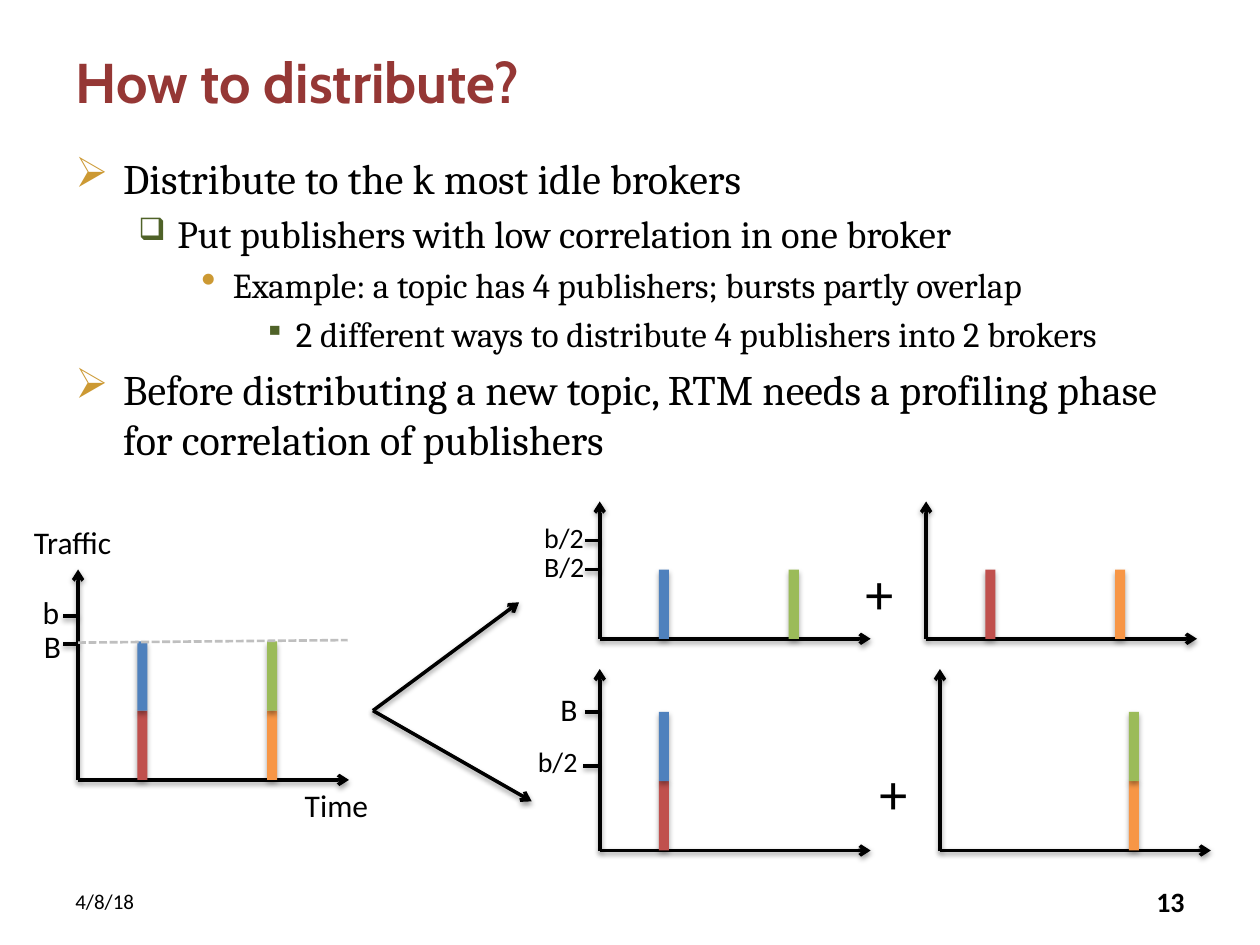
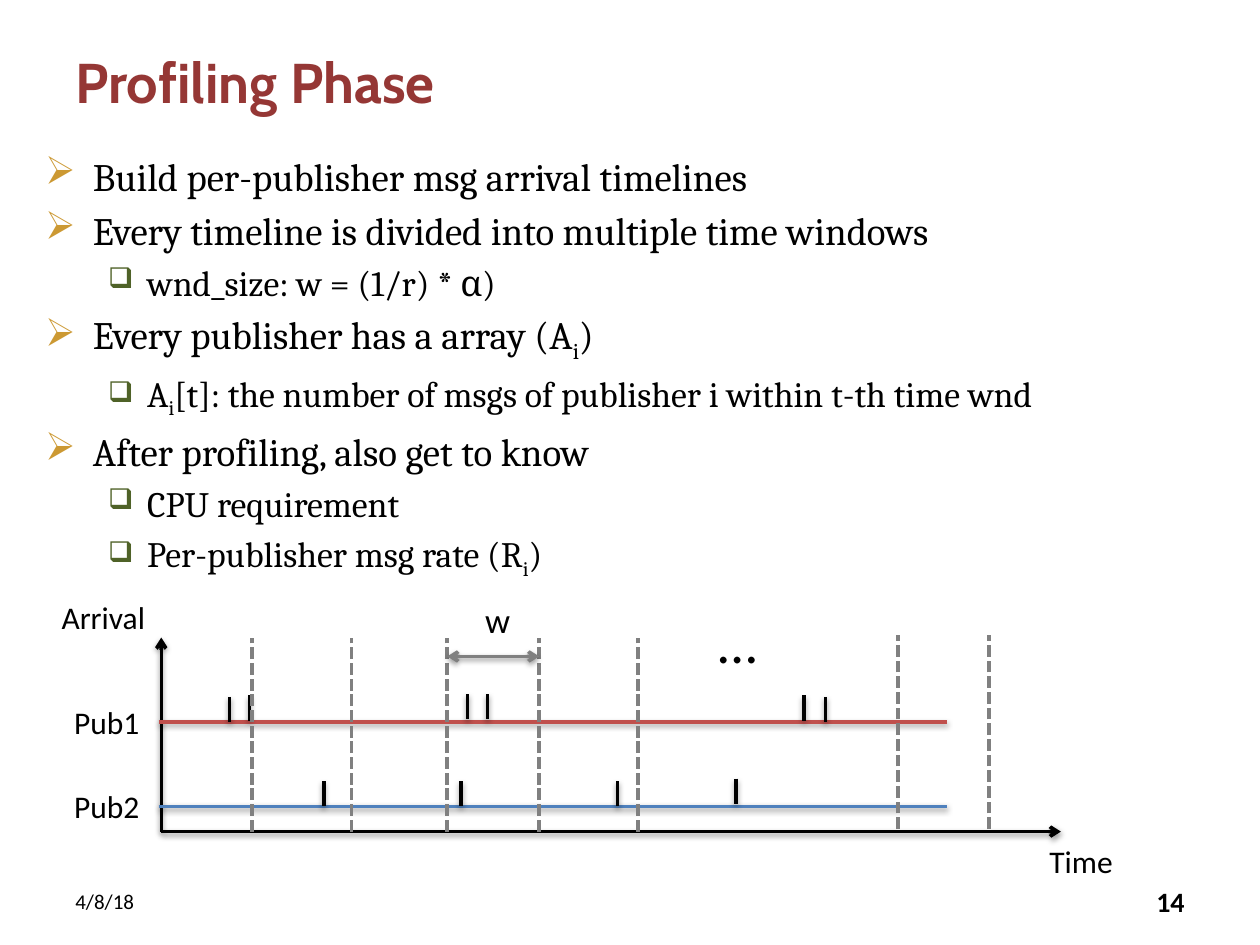
from dataclasses import dataclass

from lxml.etree import SubElement as Sub
from pptx import Presentation
from pptx.dml.color import RGBColor
from pptx.enum.dml import MSO_LINE_DASH_STYLE as Dash
from pptx.enum.shapes import MSO_CONNECTOR as Conn, MSO_SHAPE as Form
from pptx.enum.text import MSO_ANCHOR as Anchor, PP_ALIGN as Align
from pptx.oxml.ns import qn
from pptx.slide import Slide
from pptx.util import Inches, Pt

BLACK, MAROON, GOLD, MOSS = "000000", "953735", "CC9933", "4F6228"
BLUE, RED, GREEN, ORANGE = "4F81BD", "C0504D", "9BBB59", "F79646"
GREY, PALE = "808080", "BFBFBF"
HEAD, BODY, NOTE = "Cabin", "Cambria", "Calibri"
BAR_W, BAR_H, SLOTS = 0.08, 0.55, (0.47, 1.5)
AXIS_W, TICK = 2.15, 0.12


@dataclass(frozen=True)
class Mark:
    """Bullet and indents of one outline level."""
    char: str
    color: str
    scale: int
    left: float
    hang: float


@dataclass(frozen=True)
class Item:
    """Outline line whose odd parts between bars are subscripts."""
    text: str
    level: int = 0


@dataclass(frozen=True)
class Label:
    """Short text with its top left corner."""
    text: str
    x: float
    y: float
    w: float = 0.89
    h: float = 0.4
    size: float = 18
    font: str = NOTE
    color: str = BLACK
    bold: bool = False
    align: Align = Align.LEFT
    anchor: Anchor = Anchor.TOP


@dataclass(frozen=True)
class Line:
    """Straight line with optional dash and arrowheads."""
    x1: float
    y1: float
    x2: float
    y2: float
    color: str = BLACK
    width: float = 2
    dash: bool = False
    ends: tuple[str, ...] = ()


@dataclass(frozen=True)
class Plot:
    """Pair of axes with a stack of bars in each time slot."""
    x: float
    base: float
    top: float
    stacks: tuple[tuple[str, ...], tuple[str, ...]]


MARKS = (
    Mark("➢", GOLD, 100, 0.38, 0.38),
    Mark("❑", MOSS, 80, 0.81, 0.31),
    Mark("•", GOLD, 120, 1.25, 0.25),
    Mark("▪", MOSS, 80, 1.75, 0.25),
)
TIP = ("tailEnd",)


def rgb(code: str) -> RGBColor:
    """Turn a hex string into a colour."""
    return RGBColor.from_string(code)


def shade(node, alpha: int, dist: float) -> None:
    """Put a soft downward shadow into an effect list."""
    cast = Sub(node, qn("a:outerShdw"), blurRad=str(Pt(3.1)), dist=str(Pt(dist)),
               dir="5400000", rotWithShape="0")
    tint = Sub(cast, qn("a:srgbClr"), val=BLACK)
    Sub(tint, qn("a:alpha"), val=str(alpha * 1000))


def frame(slide: Slide, x: float, y: float, w: float, h: float):
    """Add a wrapping text box and return its text frame."""
    box = slide.shapes.add_textbox(Inches(x), Inches(y), Inches(w), Inches(h))
    box.text_frame.word_wrap = True
    return box.text_frame


def write(slide: Slide, label: Label) -> None:
    """Draw a label."""
    text = frame(slide, label.x, label.y, label.w, label.h)
    text.vertical_anchor = label.anchor
    para = text.paragraphs[0]
    para.text, para.alignment = label.text, label.align
    font = para.font
    font.name, font.size, font.bold = label.font, Pt(label.size), label.bold
    font.color.rgb = rgb(label.color)


def bullet(para, level: int) -> None:
    """Give a paragraph the spacing, indent and bullet of its level."""
    mark = MARKS[level]
    para.level = level
    props = para._p.get_or_add_pPr()
    props.set("marL", str(Inches(mark.left)))
    props.set("indent", str(-Inches(mark.hang)))
    Sub(Sub(props, qn("a:spcBef")), qn("a:spcPct"), val="20000")
    Sub(Sub(props, qn("a:buClr")), qn("a:srgbClr"), val=mark.color)
    Sub(props, qn("a:buSzPct"), val=str(mark.scale * 1000))
    Sub(props, qn("a:buChar"), char=mark.char)


def outline(slide: Slide, x: float, h: float, sizes: tuple[float, ...],
            items: list[Item]) -> None:
    """Draw the bulleted body text."""
    text = frame(slide, x, 1.16, 9.5 - x, h)
    for n, item in enumerate(items):
        para = text.add_paragraph() if n else text.paragraphs[0]
        bullet(para, item.level)
        para.font.name, para.font.size = BODY, Pt(sizes[item.level])
        para.font.color.rgb = rgb(BLACK)
        for k, part in enumerate(item.text.split("|")):
            run = para.add_run()
            run.text = part
            if k % 2:
                run._r.get_or_add_rPr().set("baseline", "-25000")


def draw(slide: Slide, line: Line) -> None:
    """Draw a line; solid ones cast a shadow."""
    link = slide.shapes.add_connector(
        Conn.STRAIGHT, Inches(line.x1), Inches(line.y1), Inches(line.x2), Inches(line.y2))
    link.line.color.rgb = rgb(line.color)
    link.line.width = Pt(line.width)
    if line.dash:
        link.line.dash_style = Dash.SQUARE_DOT
    props = link.element.spPr
    for end in line.ends:
        Sub(props.find(qn("a:ln")), qn(f"a:{end}"), type="arrow")
    effect = Sub(props, qn("a:effectLst"))
    if not line.dash:
        shade(effect, 38, 1.6)


def bar(slide: Slide, x: float, y: float, color: str) -> None:
    """Draw one traffic bar."""
    rect = slide.shapes.add_shape(
        Form.RECTANGLE, Inches(x), Inches(y), Inches(BAR_W), Inches(BAR_H))
    rect.fill.solid()
    rect.fill.fore_color.rgb = rgb(color)
    rect.line.fill.background()
    rect.shadow.inherit = False
    shade(rect.element.spPr.find(qn("a:effectLst")), 35, 1.8)


def axes(slide: Slide, x: float, base: float, top: float, width: float) -> None:
    """Draw a time axis and an upright axis from one corner."""
    draw(slide, Line(x, base, x + width, base, ends=TIP))
    draw(slide, Line(x, base, x, top, ends=TIP))


def chart(slide: Slide, plot: Plot) -> None:
    """Draw the axes and stacks of a traffic sketch."""
    axes(slide, plot.x, plot.base, plot.top, AXIS_W)
    for slot, stack in zip(SLOTS, plot.stacks):
        for n, color in enumerate(stack, 1):
            bar(slide, plot.x + slot, plot.base - n * BAR_H, color)


def page(deck, title: str, number: int) -> Slide:
    """Add a slide with title, date and number."""
    slide = deck.slides.add_slide(deck.slide_layouts[6])
    mid = Anchor.MIDDLE
    write(slide, Label(title, 0.5, 0.3, 9, 0.69, 32, HEAD, MAROON, True, anchor=mid))
    write(slide, Label("4/8/18", 0.5, 6.95, 2.33, size=12, anchor=mid))
    write(slide, Label(str(number), 7.17, 6.95, 2.33, size=16, bold=True,
                       align=Align.RIGHT, anchor=mid))
    return slide


def spread(deck) -> None:
    """Build the slide on ways to distribute publishers."""
    slide = page(deck, "How to distribute?", 13)
    outline(slide, 0.5, 2.57, (24, 22, 20, 20), [
        Item("Distribute to the k most idle brokers"),
        Item("Put publishers with low correlation in one broker", 1),
        Item("Example: a topic has 4 publishers; bursts partly overlap", 2),
        Item("2 different ways to distribute 4 publishers into 2 brokers", 3),
        Item("Before distributing a new topic, RTM needs a profiling phase "
             "for correlation of publishers"),
    ])
    for plot in (
        Plot(0.62, 6.19, 4.52, ((RED, BLUE), (ORANGE, GREEN))),
        Plot(4.76, 5.07, 3.98, ((BLUE,), (GREEN,))),
        Plot(7.35, 5.07, 3.98, ((RED,), (ORANGE,))),
        Plot(4.76, 6.75, 5.31, ((RED, BLUE), ())),
        Plot(7.46, 6.75, 5.31, ((), (ORANGE, GREEN))),
    ):
        chart(slide, plot)
    for x, y in ((0.62, 4.89), (0.62, 5.11), (4.76, 4.29), (4.76, 4.52),
                 (4.76, 5.65), (4.75, 6.08)):
        draw(slide, Line(x - TICK, y, x, y))
    draw(slide, Line(0.62, 5.1, 2.76, 5.08, PALE, 1.5, True))
    for x, y in ((4.12, 4.78), (4.22, 6.36)):
        draw(slide, Line(2.96, 5.64, x, y, ends=TIP))
    for text, x, y in (("Traffic", 0.17, 4.1), ("Time", 2.32, 6.19)):
        write(slide, Label(text, x, y))
    for text, x, y in (("b", 0.24, 4.66), ("B", 0.25, 4.93), ("B", 4.35, 5.43)):
        write(slide, Label(text, x, y, 0.4))
    for text, x, y in (("b/2", 4.22, 4.08), ("B/2", 4.22, 4.31), ("b/2", 4.17, 5.86)):
        write(slide, Label(text, x, y, 0.61, 0.37, 16))
    for x, y in ((6.77, 4.38), (6.88, 5.97)):
        write(slide, Label("+", x, y, 0.58, 0.64, 32))


def profile(deck) -> None:
    """Build the slide on the profiling phase."""
    slide = page(deck, "Profiling Phase", 14)
    outline(slide, 0.26, 3.3, (22.2, 20.4), [
        Item("Build per-publisher msg arrival timelines"),
        Item("Every timeline is divided into multiple time windows"),
        Item("wnd_size: w = (1/r) * α)", 1),
        Item("Every publisher has a array (A|i|)"),
        Item("A|i|[t]: the number of msgs of publisher i within t-th time wnd", 1),
        Item("After profiling, also get to know"),
        Item("CPU requirement", 1),
        Item("Per-publisher msg rate (R|i|)", 1),
    ])
    axes(slide, 1.28, 6.6, 5.06, 7.14)
    for y, color in ((5.73, RED), (6.4, BLUE)):
        draw(slide, Line(1.26, y, 7.52, y, color))
    for x, y in ((1.82, 5.53), (1.98, 5.52), (3.71, 5.51), (3.87, 5.51),
                 (6.38, 5.52), (6.55, 5.53), (2.57, 6.2), (3.66, 6.2),
                 (4.9, 6.2), (5.84, 6.18)):
        draw(slide, Line(x, y, x, y + 0.2))
    for base, edges in ((6.6, (2, 2.79, 3.55, 4.28, 5.06)), (6.58, (7.13, 7.85))):
        for x in edges:
            draw(slide, Line(x, base, x, base - 1.54, GREY, 2.25, True))
    draw(slide, Line(3.55, 5.21, 4.28, 5.21, GREY, ends=("headEnd", "tailEnd")))
    for text, x, y in (("Arrival", 0.39, 4.7), ("Pub1", 0.49, 5.53),
                       ("Pub2", 0.49, 6.2), ("Time", 8.23, 6.63)):
        write(slide, Label(text, x, y))
    write(slide, Label("w", 3.38, 4.7, 1.14, 0.44, 20, align=Align.CENTER))
    write(slide, Label("…", 5.6, 4.77, 0.81, 0.64, 32))


def main() -> None:
    """Build and save the deck."""
    deck = Presentation()
    deck.slide_width, deck.slide_height = Inches(10), Inches(7.5)
    spread(deck)
    profile(deck)
    deck.save("out.pptx")


if __name__ == "__main__":
    main()
